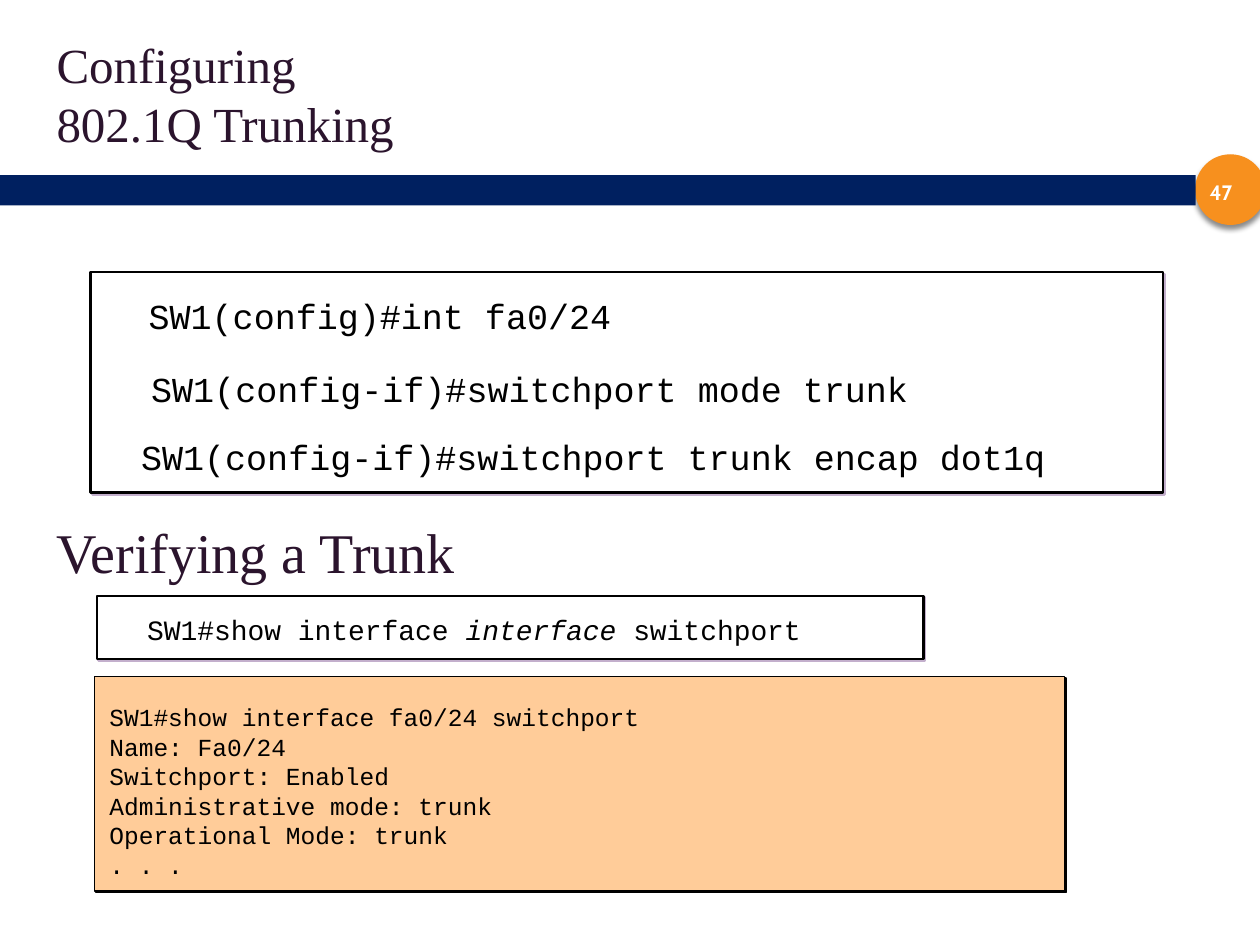
from lxml import etree
from pptx import Presentation, util as u
from pptx.dml.color import RGBColor
from pptx.enum import shapes, text
from pptx.oxml import ns

COLORS = {
    "white": "FFFFFF", "black": "000000", "navy": "002060", "orange": "F7901E",
    "peach": "FFCC99", "plum": "2B142D", "lilac": "C3AFCC",
}
SERIF, MONO, SANS = "Times New Roman", "Courier New", "Cabin"


class SlideBuilder:
    """Draws styled elements on a grid of 100 columns by 75 rows."""

    def __init__(self, presentation):
        self.slide = presentation.slides.add_slide(presentation.slide_layouts[6])
        self.column = presentation.slide_width / 100
        self.row = presentation.slide_height / 75

    def place(self, left, top, width, height):
        return (round(left * self.column), round(top * self.row),
                round(width * self.column), round(height * self.row))

    def color(self, name):
        return RGBColor.from_string(COLORS[name])

    def panel(self, box, fill, line=None, line_width=1.5, shadow=None,
              kind=shapes.MSO_SHAPE.RECTANGLE):
        shape = self.slide.shapes.add_shape(kind, *self.place(*box))
        shape.shadow.inherit = False
        shape.fill.solid()
        shape.fill.fore_color.rgb = self.color(fill)
        if line:
            shape.line.color.rgb = self.color(line)
            shape.line.width = u.Pt(line_width)
        else:
            shape.line.fill.background()
        if shadow:
            self.shadow(shape, *shadow)

    def shadow(self, shape, color, distance=1.4, angle=45, blur=0, opacity=100):
        effects = shape.element.spPr.find(ns.qn("a:effectLst"))
        outer = etree.SubElement(
            effects, ns.qn("a:outerShdw"), blurRad=str(u.Pt(blur)),
            dist=str(u.Pt(distance)), dir=str(angle * 60000), algn="ctr", rotWithShape="0")
        tint = etree.SubElement(outer, ns.qn("a:srgbClr"), val=COLORS[color])
        etree.SubElement(tint, ns.qn("a:alpha"), val=str(opacity * 1000))

    def words(self, box, lines, font, size, color="black", bold=False, align=None,
              spacing=None, after=None, insets=(0.1, 0.05),
              anchor=text.MSO_ANCHOR.MIDDLE):
        frame = self.slide.shapes.add_textbox(*self.place(*box)).text_frame
        frame.word_wrap = True
        frame.vertical_anchor = anchor
        frame.margin_left = frame.margin_right = u.Inches(insets[0])
        frame.margin_top = frame.margin_bottom = u.Inches(insets[1])
        for index, line in enumerate(lines):
            paragraph = frame.add_paragraph() if index else frame.paragraphs[0]
            for position, part in enumerate(line.split("*")):
                run = paragraph.add_run()
                run.text = part
                if position % 2:
                    run.font.italic = True
            paragraph.font.name = font
            paragraph.font.size = u.Pt(size)
            paragraph.font.bold = bold
            paragraph.font.color.rgb = self.color(color)
            paragraph.alignment = align
            if spacing:
                paragraph.line_spacing = u.Pt(spacing)
            if after:
                paragraph.space_after = u.Pt(after)

    def heading(self, top, lines, size, spacing=None):
        self.words((3.5, top, 89.2, 10.8), lines, SERIF, size, "plum", spacing=spacing)

    def command(self, left, top, line):
        self.words((left, top, 80.8, 6.2), [line], MONO, 20, spacing=22.5, after=9,
                   insets=(0.03, 0.04), anchor=text.MSO_ANCHOR.TOP)


def main():
    presentation = Presentation()
    presentation.slide_width, presentation.slide_height = u.Inches(10), u.Inches(7.5)
    builder = SlideBuilder(presentation)

    builder.panel((94.9, 12.3, 5.5, 5.5), "orange", "orange", 0.79,
                  ("black", 2.4, 90, 3, 45), shapes.MSO_SHAPE.OVAL)
    builder.panel((0, 13.5, 94.1, 3.5), "white")
    builder.panel((0, 13.9, 94.9, 2.4), "navy")
    builder.words((94, 13.9, 5.8, 2.7), ["47"], SANS, 11.9, "white", bold=True,
                  align=text.PP_ALIGN.CENTER)

    builder.heading(2, ["Configuring", "802.1Q Trunking"], 28, spacing=34)
    builder.panel((7.2, 21.6, 85.1, 17.5), "white", "black", shadow=("lilac",))
    for left, top, line in (
        (11.5, 23.2, "SW1(config)#int fa0/24"),
        (11.7, 29, "SW1(config-if)#switchport mode trunk"),
        (10.9, 34.4, "SW1(config-if)#switchport trunk encap dot1q"),
    ):
        builder.command(left, top, line)

    builder.heading(38.3, ["Verifying a Trunk"], 32)
    builder.panel((7.7, 47.3, 65.6, 5), "white", "black", shadow=("lilac",))
    builder.words((10.7, 48.1, 56, 3.7), ["SW1#show interface *interface *switchport"],
                  MONO, 16)
    builder.panel((7.5, 53.7, 77, 17), "peach", "black", 1, ("black",))
    builder.words((7.7, 55.2, 72.2, 15.1), [
        "SW1#show interface fa0/24 switchport",
        "Name: Fa0/24",
        "Switchport: Enabled",
        "Administrative mode: trunk",
        "Operational Mode: trunk",
        ". . .",
    ], MONO, 14)

    presentation.save("out.pptx")


if __name__ == "__main__":
    main()
